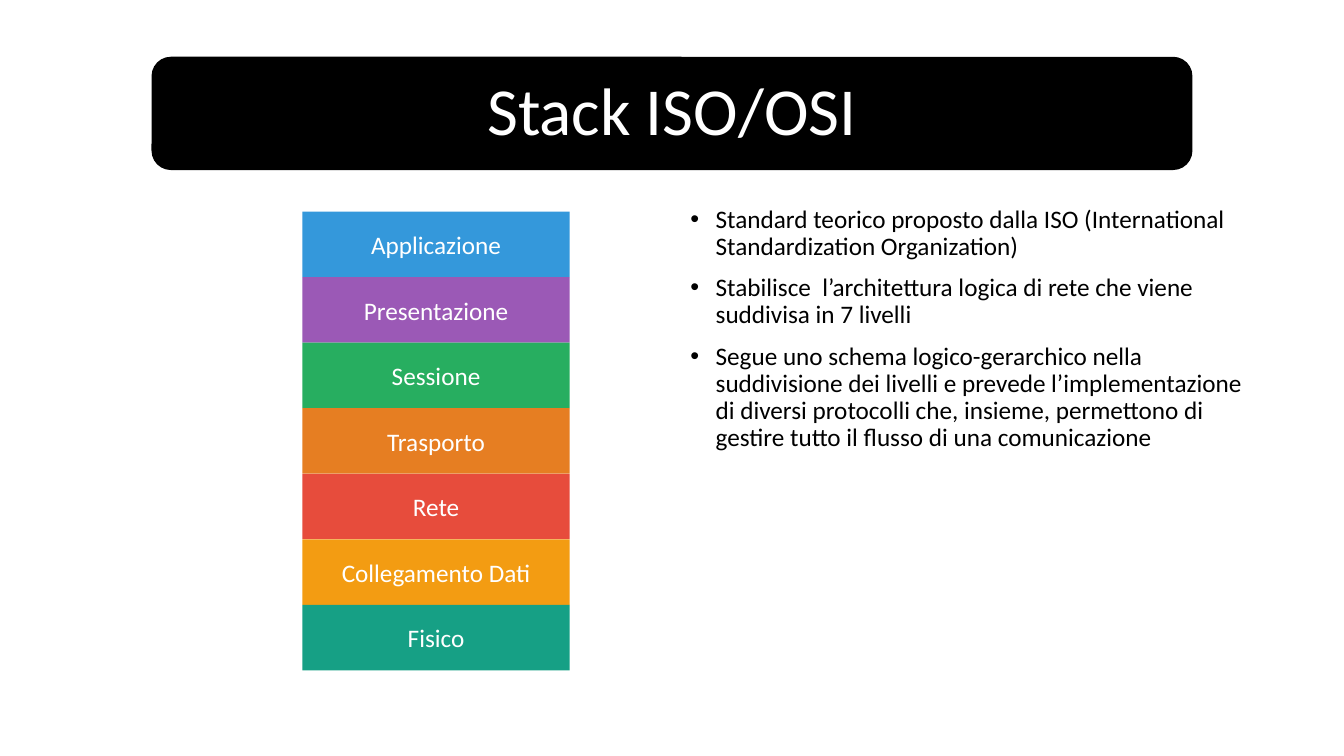
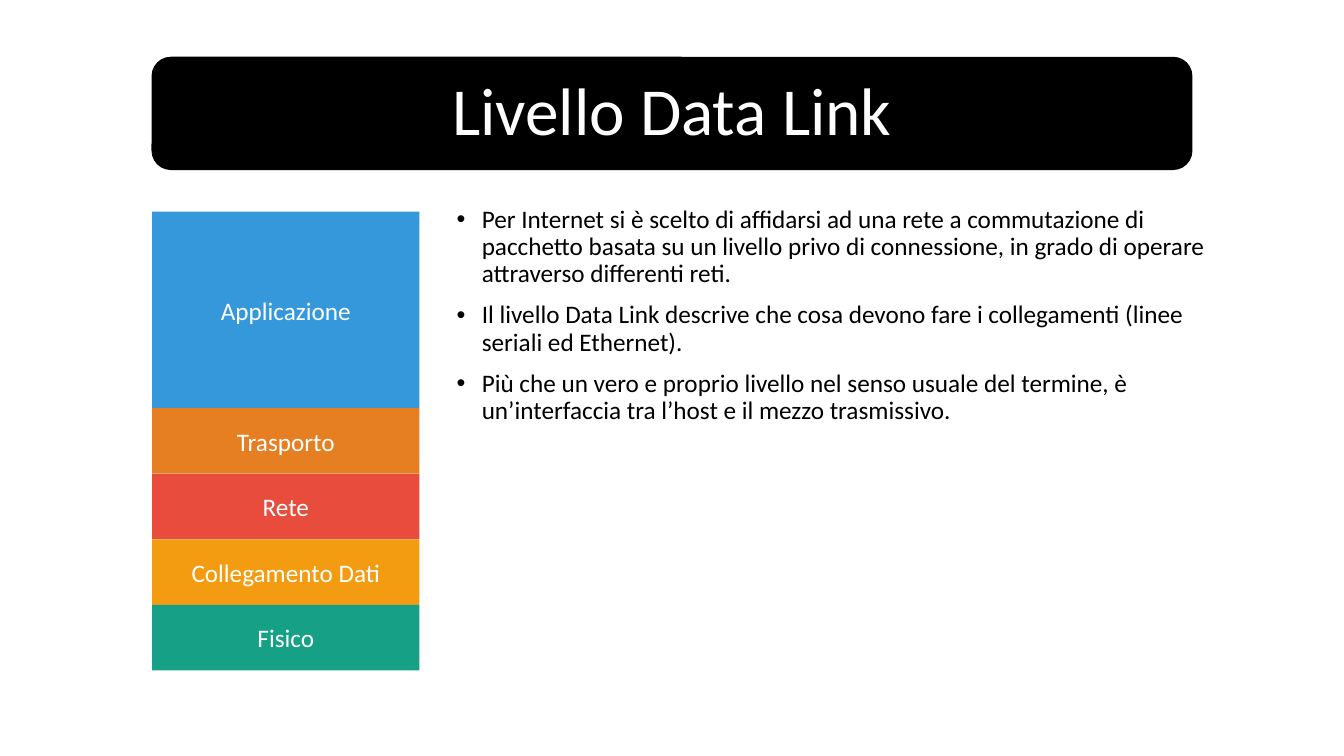
from lxml import etree
from pptx import Presentation
from pptx.dml.color import RGBColor
from pptx.enum.shapes import MSO_SHAPE as Shape
from pptx.enum.text import MSO_ANCHOR as Anchor, PP_ALIGN as Align
from pptx.oxml.ns import qn
from pptx.util import Inches, Pt

FONT = "Calibri"
BLACK, WHITE = "000000", "FFFFFF"
TITLE_BOX = (1.51, 0.57, 10.31, 1.11)
STACK_TOP, LAYER_WIDTH, LAYER_HEIGHT = 2.1, 2.65, 0.65
BODY_TOP, BODY_HEIGHT = 2, 4.76
INDENT = 0.25

LAYER_COLOURS = {
    "Applicazione": "3498DB",
    "Presentazione": "9B59B6",
    "Sessione": "27AE60",
    "Trasporto": "E67E22",
    "Rete": "E74C3C",
    "Collegamento Dati": "F39C12",
    "Fisico": "16A085",
}
OSI_LAYERS = [(name, 1) for name in LAYER_COLOURS]
# The application layer absorbs presentation and session
INTERNET_LAYERS = [("Applicazione", 3)] + OSI_LAYERS[3:]


def colour(value):
    return RGBColor.from_string(value)


def inches(box):
    return [Inches(length) for length in box]


def add_bullet(para):
    props = para._p.get_or_add_pPr()
    props.set("marL", str(Inches(INDENT)))
    props.set("indent", str(-Inches(INDENT)))
    etree.SubElement(props, qn("a:buFont"), typeface="Arial")
    etree.SubElement(props, qn("a:buChar"), char="•")


def write(shape, *texts, size=18, fill=WHITE, align=Align.CENTER,
          anchor=Anchor.MIDDLE, spacing=None, before=None, bullets=False):
    """Write one paragraph for each text."""
    frame = shape.text_frame
    frame.word_wrap = True
    frame.vertical_anchor = anchor
    for index, text in enumerate(texts):
        para = frame.add_paragraph() if index else frame.paragraphs[0]
        para.alignment = align
        if spacing is not None:
            para.line_spacing = spacing
        if before is not None:
            para.space_before = Pt(before)
        if bullets:
            add_bullet(para)
        span = para.add_run()
        span.text = text
        span.font.name = FONT
        span.font.size = Pt(size)
        span.font.color.rgb = colour(fill)


def add_block(shapes, kind, box, fill, line=None):
    block = shapes.add_shape(kind, *inches(box))
    block.shadow.inherit = False
    block.fill.solid()
    block.fill.fore_color.rgb = colour(fill)
    if line:
        block.line.color.rgb = colour(line)
        block.line.width = Pt(1)
    else:
        block.line.fill.background()
    return block


def add_title(page, box, title):
    band = add_block(page.shapes, Shape.ROUNDED_RECTANGLE, box, BLACK, BLACK)
    write(band, title, size=48, spacing=0.9)


def add_stack(page, left, top, layers):
    """Pile up layers, each given as a name and a number of rows."""
    group = page.shapes.add_group_shape()
    for name, rows in layers:
        height = rows * LAYER_HEIGHT
        layer = add_block(group.shapes, Shape.RECTANGLE,
                          (left, top, LAYER_WIDTH, height), LAYER_COLOURS[name])
        write(layer, name)
        top += height


def add_body(page, box, points):
    body = page.shapes.add_textbox(*inches(box))
    write(body, *points, fill=BLACK, align=Align.LEFT, anchor=Anchor.TOP,
          spacing=0.9, before=10, bullets=True)


def add_page(deck, title, stack_left, layers, body_left, body_width, points):
    page = deck.slides.add_slide(deck.slide_layouts[6])
    add_title(page, TITLE_BOX, title)
    add_body(page, (body_left, BODY_TOP, body_width, BODY_HEIGHT), points)
    add_stack(page, stack_left, STACK_TOP, layers)


def main():
    deck = Presentation()
    deck.slide_width, deck.slide_height = Inches(13.33), Inches(7.5)

    # The seven theoretical layers
    add_page(deck, "Stack ISO/OSI", 3, OSI_LAYERS, 6.75, 5.67, [
        "Standard teorico proposto dalla ISO (International Standardization "
        "Organization)",
        "Stabilisce  l’architettura logica di rete che viene suddivisa in 7 livelli",
        "Segue uno schema logico-gerarchico nella suddivisione dei livelli e "
        "prevede l’implementazione di diversi protocolli che, insieme, permettono "
        "di gestire tutto il flusso di una comunicazione",
    ])

    # The layers used by the Internet
    add_page(deck, "Livello Data Link", 1.51, INTERNET_LAYERS, 4.43, 7.98, [
        "Per Internet si è scelto di affidarsi ad una rete a commutazione di "
        "pacchetto basata su un livello privo di connessione, in grado di operare "
        "attraverso differenti reti.",
        "Il livello Data Link descrive che cosa devono fare i collegamenti (linee "
        "seriali ed Ethernet).",
        "Più che un vero e proprio livello nel senso usuale del termine, è "
        "un’interfaccia tra l’host e il mezzo trasmissivo.",
    ])

    deck.save("out.pptx")


if __name__ == "__main__":
    main()
